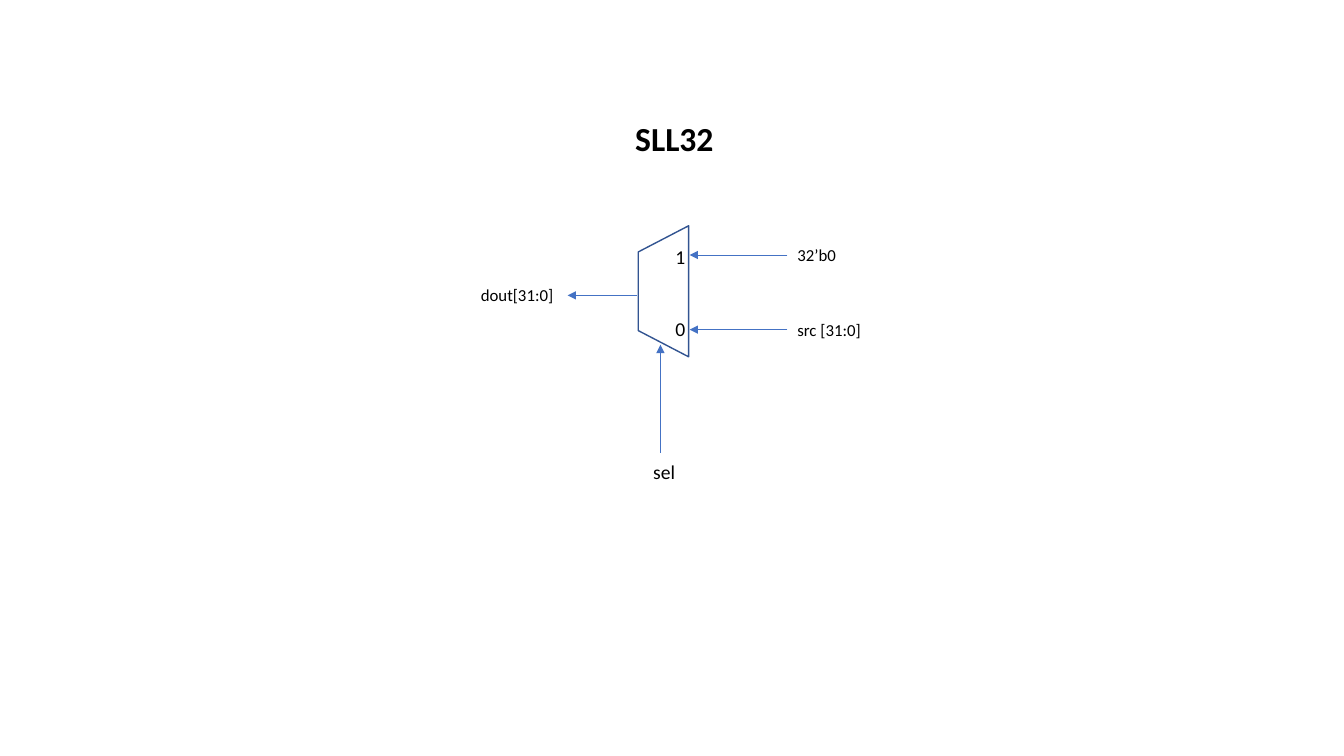
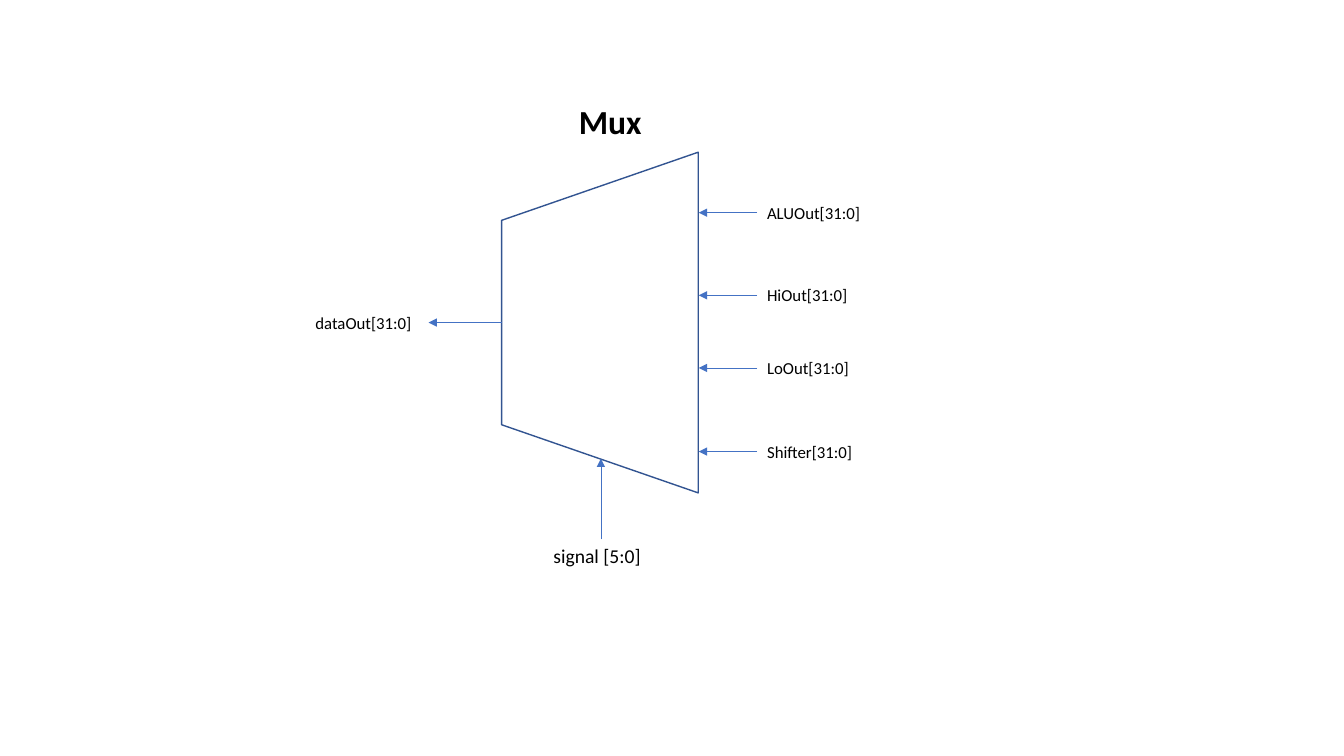
from lxml import etree
from pptx import Presentation
from pptx.dml.color import RGBColor
from pptx.enum.shapes import MSO_CONNECTOR, MSO_SHAPE
from pptx.enum.text import MSO_ANCHOR, MSO_AUTO_SIZE, PP_ALIGN
from pptx.oxml.ns import qn
from pptx.util import Inches, Pt

TRAPEZOID = MSO_SHAPE.FLOWCHART_MANUAL_OPERATION
STRAIGHT = MSO_CONNECTOR.STRAIGHT
TOP = MSO_ANCHOR.TOP
LEFT = PP_ALIGN.LEFT
NO_FIT = MSO_AUTO_SIZE.NONE

FONT = "Calibri"
COLORS = {"text": "000000", "fill": "FFFFFF", "outline": "325491", "wire": "4472C4"}
TITLE_SIZE, SELECT_SIZE, PORT_SIZE = 24, 14, 12
TITLE_ONLY = 5


def color(name):
    return RGBColor.from_string(COLORS[name])


class MuxDeck:
    """Draws multiplexer diagrams in one shared style."""

    def __init__(self):
        self.deck = Presentation()
        self.deck.slide_width = Inches(13.33)
        self.deck.slide_height = Inches(7.5)
        self.page = None

    def add_page(self, title, left, top, width):
        self.page = self.deck.slides.add_slide(self.deck.slide_layouts[TITLE_ONLY])
        box = self.page.shapes.title
        box.left, box.top = Inches(left), Inches(top)
        box.width, box.height = Inches(width), Inches(0.5)
        self.style_text(box, title, TITLE_SIZE, bold=True)

    def style_text(self, box, text, size, bold=False):
        frame = box.text_frame
        frame.text = text
        frame.word_wrap = True
        frame.auto_size = NO_FIT
        frame.vertical_anchor = TOP
        para = frame.paragraphs[0]
        para.alignment = LEFT
        font = para.runs[0].font
        font.name, font.size, font.bold = FONT, Pt(size), bold
        font.color.rgb = color("text")

    def label(self, text, left, top, width, size=SELECT_SIZE):
        height = 0.34 if size == SELECT_SIZE else 0.3
        box = self.page.shapes.add_textbox(
            Inches(left), Inches(top), Inches(width), Inches(height))
        self.style_text(box, text, size)

    def mux(self, center_x, center_y, width, height):
        shape = self.page.shapes.add_shape(
            TRAPEZOID, Inches(center_x - height / 2), Inches(center_y - width / 2),
            Inches(height), Inches(width))
        shape.rotation = 90
        shape.shadow.inherit = False
        shape.fill.solid()
        shape.fill.fore_color.rgb = color("fill")
        shape.line.color.rgb = color("outline")
        shape.line.width = Pt(1)

    def arrow(self, start_x, start_y, end_x, end_y):
        wire = self.page.shapes.add_connector(
            STRAIGHT, Inches(start_x), Inches(start_y), Inches(end_x), Inches(end_y))
        wire.line.color.rgb = color("wire")
        wire.line.width = Pt(0.5)
        properties = wire._element.spPr
        etree.SubElement(properties.find(qn("a:ln")), qn("a:tailEnd"), type="triangle")
        etree.SubElement(properties, qn("a:effectLst"))

    def port(self, text, label_left, width, y, start_x, end_x):
        self.label(text, label_left, y - 0.15, width, PORT_SIZE)
        self.arrow(start_x, y, end_x, y)


diagrams = MuxDeck()

diagrams.add_page("SLL32", 6.2, 1.12, 1.23)
diagrams.mux(6.58, 2.89, width=0.5, height=1.3)
diagrams.label("sel", 6.38, 4.51, 0.76)
diagrams.arrow(6.55, 4.49, 6.55, 3.42)
diagrams.port("dout[31:0]", 4.67, 0.98, 2.93, 6.32, 5.63)
for digit, digit_top, source, y in (("1", 2.38, "32’b0", 2.53),
                                    ("0", 3.09, "src [31:0]", 3.27)):
    diagrams.label(digit, 6.6, digit_top, 0.76)
    diagrams.port(source, 7.81, 1.08, y, 7.81, 6.84)

diagrams.add_page("Mux", 5.64, 0.95, 1.14)
diagrams.mux(5.95, 3.2, width=1.95, height=3.38)
diagrams.label("signal [5:0]", 5.39, 5.35, 1.14)
diagrams.arrow(5.96, 5.35, 5.96, 4.55)
diagrams.port("dataOut[31:0]", 3.03, 1.46, 3.2, 4.98, 4.25)
for source, y in (("ALUOut", 2.11), ("HiOut", 2.93), ("LoOut", 3.65), ("Shifter", 4.48)):
    diagrams.port(f"{source}[31:0]", 7.51, 1.46, y, 7.51, 6.93)

diagrams.deck.save("out.pptx")
